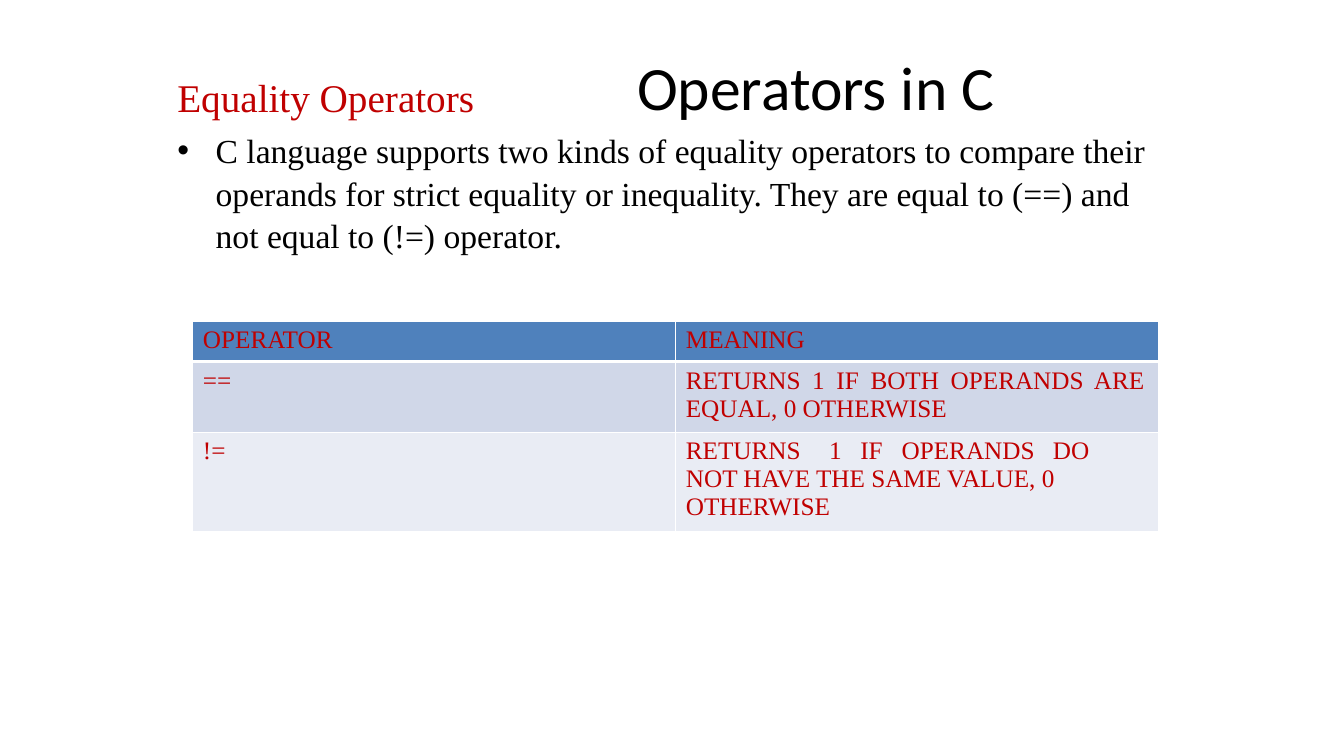
from dataclasses import dataclass

from lxml import etree
from pptx import Presentation
from pptx import util as u
from pptx.dml.color import RGBColor
from pptx.enum import text
from pptx.oxml import ns

WIDTH, HEIGHT = u.Inches(13.33), u.Inches(7.5)
BLANK_LAYOUT = 6


@dataclass(frozen=True)
class Theme:
    heading_font: str = "Calibri"
    body_font: str = "Times New Roman"
    ink: str = "000000"
    accent: str = "C00000"
    border: str = "FFFFFF"
    row_fills: tuple = ("4F81BC", "D0D7E8", "E9ECF4")
    title_size: int = 44
    topic_size: int = 28
    body_size: int = 24
    table_size: int = 18


THEME = Theme()
TITLE = "Operators in C"
TOPIC = "Equality Operators"
EXPLANATION = (
    "C language supports two kinds of equality operators to compare their "
    "operands for strict equality or inequality. They are equal to (==) and "
    "not equal to (!=) operator."
)
OPERATORS = (
    ("OPERATOR", "MEANING"),
    ("==", "RETURNS 1 IF BOTH OPERANDS ARE EQUAL, 0 OTHERWISE"),
    ("!=", "RETURNS\t1\tIF\tOPERANDS\tDO\tNOT HAVE THE SAME VALUE, 0 OTHERWISE"),
)
ROW_HEIGHTS = (0.4, 0.7, 0.7)
MEANING_TABS = (1.42, 1.73, 2.14, 3.64, 4.18)


def set_all(target, values):
    for name, value in values.items():
        setattr(target, name, value)


def add_child(parent, tag, **attributes):
    child = etree.SubElement(parent, ns.qn(tag))
    for name, value in attributes.items():
        child.set(name, str(value))
    return child


def write(paragraph, words, font, size, color):
    paragraph.text = words
    set_all(paragraph.font, {"name": font, "size": u.Pt(size)})
    paragraph.font.color.rgb = RGBColor.from_string(color)


def add_bullet(paragraph, indent):
    properties = paragraph._p.get_or_add_pPr()
    properties.set("marL", str(u.Inches(indent)))
    properties.set("indent", str(-u.Inches(indent)))
    add_child(properties, "a:buFont", typeface="Arial")
    add_child(properties, "a:buChar", char="•")


def add_tabs(paragraph, stops):
    tab_list = add_child(paragraph._p.get_or_add_pPr(), "a:tabLst")
    for stop in stops:
        add_child(tab_list, "a:tab", pos=u.Inches(stop), algn="l")


def add_text_area(slide, left, top, width, height, **frame_format):
    """Add a wrapping text box; its place is given as shares of the slide."""
    area = slide.shapes.add_textbox(
        int(left * WIDTH), int(top * HEIGHT), int(width * WIDTH), int(height * HEIGHT))
    frame = area.text_frame
    set_all(frame, {"word_wrap": True, "margin_left": 0, "margin_right": 0,
                    "margin_top": 0, "margin_bottom": 0, **frame_format})
    return frame


def add_title(slide):
    frame = add_text_area(slide, 0.474, 0.064, 0.345, 0.1,
                          vertical_anchor=text.MSO_ANCHOR.MIDDLE)
    write(frame.paragraphs[0], TITLE, THEME.heading_font, THEME.title_size, THEME.ink)


def add_explanation(slide):
    frame = add_text_area(slide, 0.132, 0.079, 0.721, 0.249, margin_top=u.Inches(0.13))
    topic = frame.paragraphs[0]
    write(topic, TOPIC, THEME.body_font, THEME.topic_size, THEME.accent)
    explanation = frame.add_paragraph()
    set_all(explanation, {"space_before": u.Pt(5.9), "line_spacing": 1.05})
    add_bullet(explanation, 0.38)
    write(explanation, EXPLANATION, THEME.body_font, THEME.body_size, THEME.ink)


def add_borders(cell, top, bottom):
    """Draw the cell's four edges; top and bottom are widths in points."""
    properties = cell._tc.get_or_add_tcPr()
    for edge, points in (("L", 1), ("R", 1), ("T", top), ("B", bottom)):
        line = add_child(properties, f"a:ln{edge}", w=u.Pt(points))
        add_child(add_child(line, "a:solidFill"), "a:srgbClr", val=THEME.border)


def format_cell(cell, words, row):
    set_all(cell, {"margin_left": u.Inches(0.1), "margin_right": u.Inches(0.14),
                   "margin_top": u.Inches(0.05), "margin_bottom": u.Inches(0.04)})
    add_borders(cell, top=3 if row == 1 else 1, bottom=3 if row == 0 else 1)
    cell.fill.solid()
    cell.fill.fore_color.rgb = RGBColor.from_string(THEME.row_fills[row])
    paragraph = cell.text_frame.paragraphs[0]
    if "\t" in words:
        add_tabs(paragraph, MEANING_TABS)
    elif row == 1:
        paragraph.alignment = text.PP_ALIGN.JUSTIFY
    write(paragraph, words, THEME.body_font, THEME.table_size, THEME.accent)


def add_operator_table(slide):
    table = slide.shapes.add_table(
        len(OPERATORS), len(OPERATORS[0]), int(0.1435 * WIDTH), int(0.425 * HEIGHT),
        u.Inches(9.58), u.Inches(sum(ROW_HEIGHTS))).table
    for row, (entries, height) in enumerate(zip(OPERATORS, ROW_HEIGHTS)):
        table.rows[row].height = u.Inches(height)
        for column, words in enumerate(entries):
            format_cell(table.cell(row, column), words, row)


def main():
    deck = Presentation()
    set_all(deck, {"slide_width": WIDTH, "slide_height": HEIGHT})
    slide = deck.slides.add_slide(deck.slide_layouts[BLANK_LAYOUT])
    add_title(slide)
    add_explanation(slide)
    add_operator_table(slide)
    deck.save("out.pptx")


if __name__ == "__main__":
    main()
